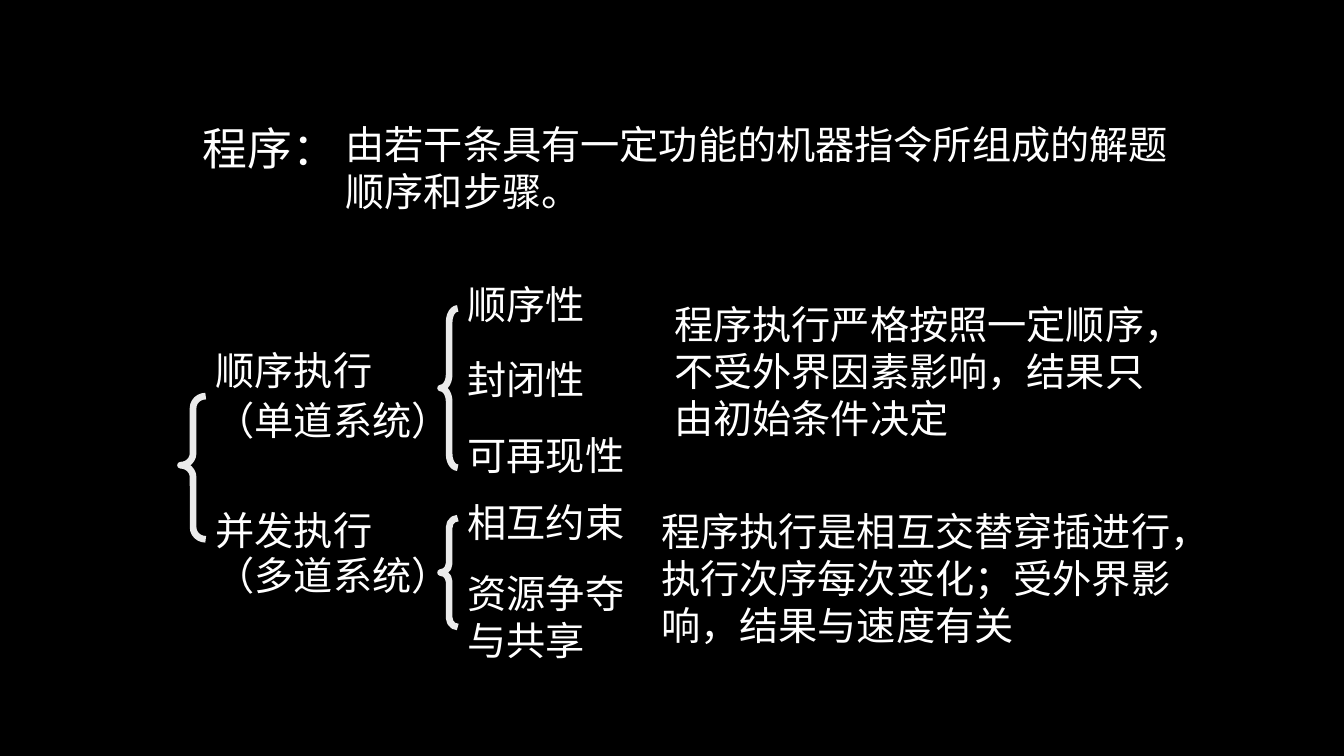
import pptx
import pptx.util
import pptx.dml.color
import pptx.enum.shapes
import pptx.enum.text
import pptx.oxml
import pptx.oxml.ns

Inches, Pt = pptx.util.Inches, pptx.util.Pt
FONT = "League Spartan"
COLORS = {"background": "000000", "text": "FFFFFF", "brace": "EBEBEB"}
BODY_SIZE = 28
BRANCH_LEFT, TRAIT_LEFT, BRACE_LEFT = 2.04, 4.54, 4.37

TERM = ("程序：", (1.91, 1.15, 1.57, 0.63), 32)
PASSAGES = [
    ("由若干条具有一定功能的机器指令所组成的解题顺序和步骤。", (3.33, 1.14, 8.37, 1.03)),
    ("程序执行严格按照一定顺序，不受外界因素影响，结果只由初始条件决定", (6.59, 2.93, 4.92, 1.5)),
    ("程序执行是相互交替穿插进行，执行次序每次变化；受外界影响，结果与速度有关",
     (6.46, 4.98, 5.33, 1.5)),
]
BRANCHES = [
    ("顺序执行\n（单道系统）", 3.48, 0.98, (0.8, 0.5)),
    ("并发执行\n（多道系统）", 5.06, 0.94, (0.8, 0.4)),
]
TRAITS = [
    ("顺序性", 2.73, 0.57),
    ("封闭性", 3.48, 0.57),
    ("可再现性", 4.23, 0.57),
    ("相互约束", 4.89, 0.57),
    ("资源争夺与共享", 5.6, 1.03),
]
BRACES = [
    ((1.79, 3.93, 0.25, 1.42), (0.472, 0.483)),
    ((BRACE_LEFT, 3.06, 0.17, 1.58), (0.792, 0.5)),
    ((BRACE_LEFT, 5.14, 0.17, 1.08), (0.542, 0.5)),
]


def rgb(name):
    return pptx.dml.color.RGBColor.from_string(COLORS[name])


def add_text(s, text, box, size=BODY_SIZE, line_spacings=(None,)):
    tf = s.shapes.add_textbox(*map(Inches, box)).text_frame
    tf.word_wrap = True
    tf.auto_size = pptx.enum.text.MSO_AUTO_SIZE.SHAPE_TO_FIT_TEXT
    tf.text = text
    for i, (p, spacing) in enumerate(zip(tf.paragraphs, line_spacings)):
        p.line_spacing = spacing
        if i:
            p.space_before = Pt(16.5)
        for r in p.runs:
            r.font.size = Pt(size)
            r.font.name = FONT
            r.font.color.rgb = rgb("text")
            east_asian = pptx.oxml.parse_xml(
                f'<a:ea {pptx.oxml.ns.nsdecls("a")} typeface="{FONT}"/>')
            r.font._element.append(east_asian)


def add_brace(s, box, adjustments):
    sp = s.shapes.add_shape(pptx.enum.shapes.MSO_SHAPE.LEFT_BRACE, *map(Inches, box))
    sp.shadow.inherit = False
    sp.fill.background()
    sp.line.color.rgb = rgb("brace")
    sp.line.width = Pt(4.75)
    for i, value in enumerate(adjustments):
        sp.adjustments[i] = value


def main():
    """Build the slide on sequential and concurrent program execution."""
    prs = pptx.Presentation()
    prs.slide_width, prs.slide_height = Inches(13.33), Inches(7.5)
    s = prs.slides.add_slide(prs.slide_layouts[6])
    s.background.fill.solid()
    s.background.fill.fore_color.rgb = rgb("background")

    add_text(s, *TERM)
    for text, box in PASSAGES:
        add_text(s, text, box)
    for text, top, height, spacings in BRANCHES:
        add_text(s, text, (BRANCH_LEFT, top, 2.58, height), line_spacings=spacings)
    for text, top, height in TRAITS:
        add_text(s, text, (TRAIT_LEFT, top, 1.83, height))
    for box, adjustments in BRACES:
        add_brace(s, box, adjustments)
    prs.save("out.pptx")


if __name__ == "__main__":
    main()
